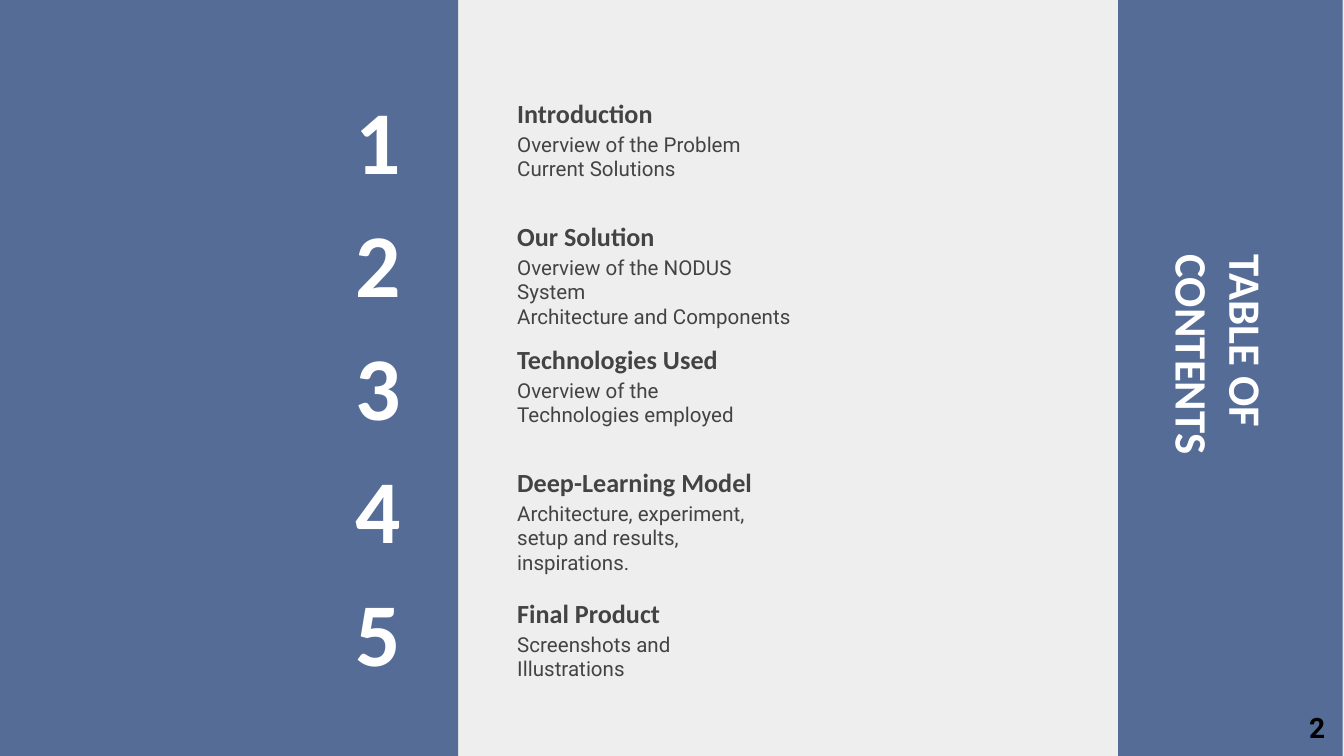
from dataclasses import dataclass

from pptx import Presentation
from pptx.dml.color import RGBColor
from pptx.enum.shapes import MSO_SHAPE
from pptx.enum.text import MSO_ANCHOR as Anchor, MSO_AUTO_SIZE as AutoSize, PP_ALIGN as Align
from pptx.util import Inches, Pt

COLORS = {
    "background": "EEEEEE",
    "panel": "556D96",
    "light": "FFFFFF",
    "body": "434343",
    "page": "000000",
}
WIDTH = 10
HEIGHT = WIDTH * 9 / 16
FIRST_HEADING_TOP = 0.43
FIRST_NUMBER_TOP = 0.72
ROW_STEP = 3.66 / 4
BODY_DROP = 0.45
ROW_HEIGHT = 0.63


@dataclass(frozen=True)
class Section:
    heading: str
    lines: tuple[str, ...]
    body_width: float = 2.08
    shift: float = 0


SECTIONS = [
    Section("Introduction", ("Overview of the Problem", "Current Solutions")),
    Section("Our Solution", ("Overview of the NODUS System", "Architecture and Components"), 2.26),
    Section("Technologies Used", ("Overview of the Technologies employed",)),
    Section("Deep-Learning Model", ("Architecture, experiment, setup and results, inspirations.",)),
    Section("Final Product", ("Screenshots and Illustrations",), shift=0.06),
]


def rgb(name: str) -> RGBColor:
    return RGBColor.from_string(COLORS[name])


def place(sp, left: float, top: float, width: float, height: float) -> None:
    sp.left, sp.top = Inches(left), Inches(top)
    sp.width, sp.height = Inches(width), Inches(height)


def write(sp, *lines: str, size: float, color: str, font: str = "Calibri",
          bold: bool = True, anchor=Anchor.MIDDLE, align=Align.LEFT) -> None:
    """Fill a shape with one paragraph per line, all in the same format."""
    tf = sp.text_frame
    tf.word_wrap = True
    tf.auto_size = AutoSize.NONE
    tf.vertical_anchor = anchor
    tf.margin_left = tf.margin_right = tf.margin_top = tf.margin_bottom = Inches(0.1)
    for i, line in enumerate(lines):
        p = tf.paragraphs[0] if i == 0 else tf.add_paragraph()
        p.alignment = align
        r = p.add_run()
        r.text = line
        r.font.name, r.font.size, r.font.bold = font, Pt(size), bold
        r.font.color.rgb = rgb(color)


def add_text(s, left: float, top: float, width: float, height: float, *lines: str, **style) -> None:
    sp = s.shapes.add_textbox(*map(Inches, (left, top, width, height)))
    write(sp, *lines, **style)


def add_panel(s, left: float, width: float) -> None:
    sp = s.shapes.add_shape(MSO_SHAPE.RECTANGLE, Inches(left), 0, Inches(width), Inches(HEIGHT))
    sp.shadow.inherit = False
    sp.fill.solid()
    sp.fill.fore_color.rgb = rgb("panel")
    sp.line.fill.background()


def add_section(s, index: int, section: Section) -> None:
    offset = index * ROW_STEP
    top = FIRST_HEADING_TOP + offset + section.shift
    add_text(s, 2.55, FIRST_NUMBER_TOP + offset, 1.72, ROW_HEIGHT, str(index + 1),
             size=48, color="light")
    add_text(s, 3.75, top, 2.46, ROW_HEIGHT, section.heading,
             size=14, color="body", anchor=Anchor.BOTTOM)
    add_text(s, 3.75, top + BODY_DROP, section.body_width, ROW_HEIGHT, *section.lines,
             size=11, color="body", font="Roboto", bold=False, anchor=Anchor.TOP)


def main() -> None:
    prs = Presentation()
    prs.slide_width, prs.slide_height = Inches(WIDTH), Inches(HEIGHT)
    s = prs.slides.add_slide(prs.slide_layouts[5])
    s.background.fill.solid()
    s.background.fill.fore_color.rgb = rgb("background")

    add_panel(s, 0, 3.41)
    add_panel(s, 8.32, 1.67)

    title = s.shapes.title
    title.element.getparent().append(title.element)  # bring the title in front of its panel
    place(title, 8.02, 2.52, 2.12, 0.67)
    title.rotation = 90
    write(title, "TABLE OF CONTENTS", size=24, color="light")

    for i, section in enumerate(SECTIONS):
        add_section(s, i, section)

    add_text(s, 9.36, 5.19, 0.6, 0.43, "2", size=15, color="page", font="Roboto",
             anchor=Anchor.TOP, align=Align.RIGHT)
    prs.save("out.pptx")


if __name__ == "__main__":
    main()
